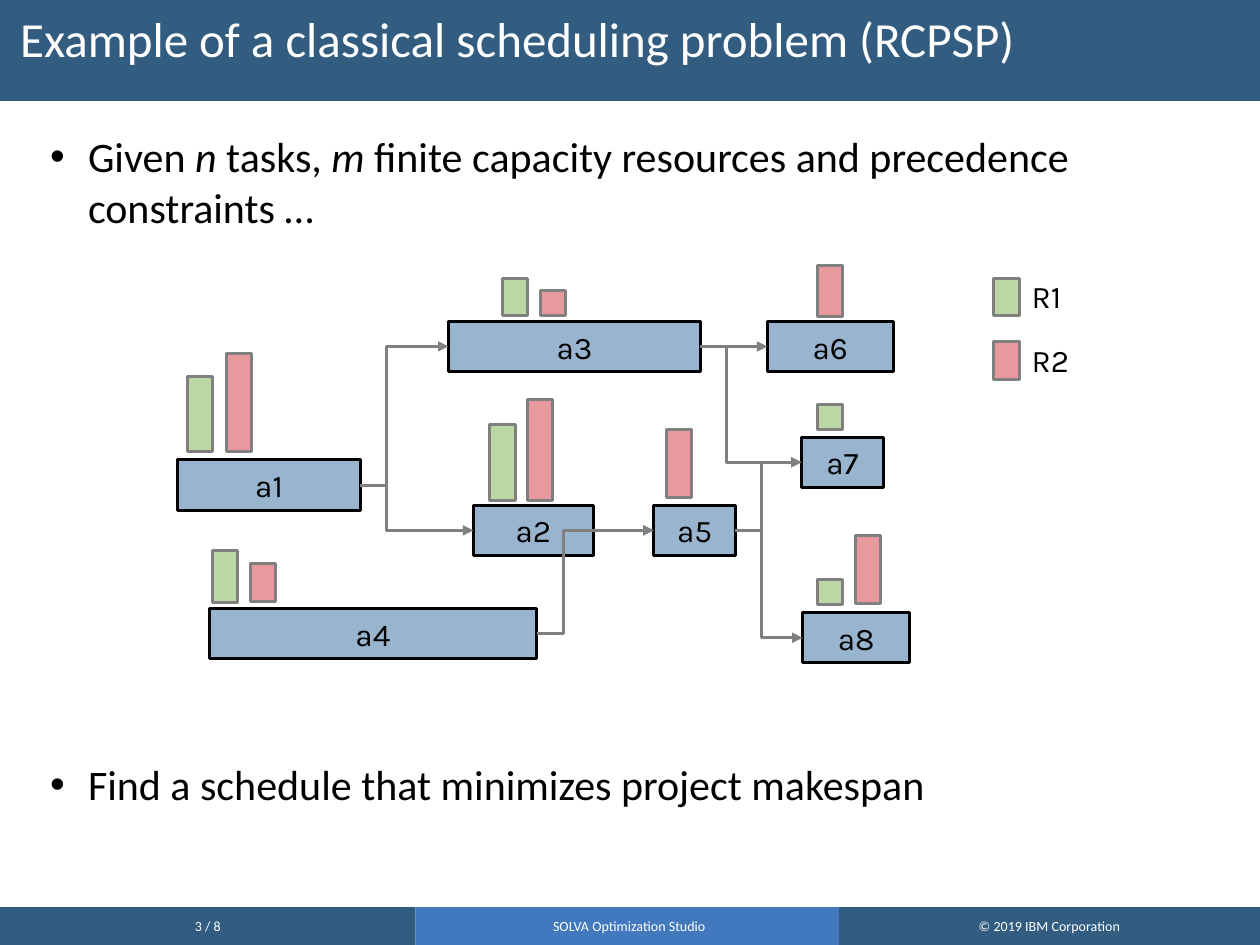
from lxml import etree
from pptx import Presentation
from pptx.dml.color import RGBColor
from pptx.enum.shapes import MSO_CONNECTOR, MSO_SHAPE
from pptx.enum.text import MSO_ANCHOR, PP_ALIGN
from pptx.oxml.ns import qn
from pptx.util import Pt

RECT = MSO_SHAPE.RECTANGLE
ELBOW, STRAIGHT = MSO_CONNECTOR.ELBOW, MSO_CONNECTOR.STRAIGHT
LEFT, CENTER = PP_ALIGN.LEFT, PP_ALIGN.CENTER
TOP, MIDDLE = MSO_ANCHOR.TOP, MSO_ANCHOR.MIDDLE
RIGHT_SIDE, LEFT_SIDE = 3, 1

COLORS = {
    "navy": "325C80", "blue": "4178BE", "white": "FFFFFF", "black": "000000",
    "gray": "808080", "task": "004586", "R1": "579D1C", "R2": "C5000B",
}

TITLE = "Example of a classical scheduling problem (RCPSP)"
# Each bullet: space before, then runs of (text, italic)
BULLETS = [
    (0, [("Given ", False), ("n", True), (" tasks, ", False), ("m", True),
         (" finite capacity resources and precedence constraints …", False)]),
    (301, [("Find a schedule that minimizes project makespan", False)]),
]
# Footer cells: text, left, right, colour
FOOTER = [
    ("3 / 8", 0, 237.6, "navy"),
    ("SOLVA Optimization Studio", 237.6, 481.7, "blue"),
    ("© 2019 IBM Corporation", 479.5, 720, "navy"),
]
# Tasks: left, top, width, resource bars as (resource, left, top, height)
TASKS = {
    "a1": (101.5, 262.8, 104.5, [("R1", 107, 215, 43.2), ("R2", 129.6, 202, 56.2)]),
    "a3": (256.3, 183.6, 144, [("R1", 287, 159, 21.6), ("R2", 308.9, 166, 14.4)]),
    "a2": (270.5, 288.7, 68.6, [("R1", 280, 242.6, 43.2), ("R2", 301.5, 228.3, 57.6)]),
    "a6": (438.5, 183.6, 72, [("R2", 467, 152, 28.8)]),
    "a5": (373.5, 288.7, 46.8, [("R2", 380.9, 245.5, 38.9)]),
    "a4": (119.5, 347.8, 187.2, [("R1", 121.4, 314.6, 29.8), ("R2", 143.2, 321.9, 21.6)]),
    "a7": (458, 249.8, 46.8, [("R1", 467, 231, 14.4)]),
    "a8": (458.6, 350, 61.2, [("R1", 467, 331.2, 14.4), ("R2", 488.9, 306, 38.9)]),
}
PRECEDENCES = [("a1", "a3"), ("a1", "a2"), ("a3", "a6"), ("a4", "a5"), ("a2", "a5"),
               ("a5", "a8"), ("a5", "a7"), ("a3", "a7")]
LEGEND = ["R1", "R2"]

TASK_HEIGHT, BAR_WIDTH, LINE_WIDTH = 28.8, 14.4, 1.7
ELBOW_STUB = 15.1
LEGEND_LEFT, LEGEND_TOP, LEGEND_STEP = 568, 159, 36.2
BULLET_INDENT = 21.6


def rgb(name):
    return RGBColor.from_string(COLORS[name])


def write(shape, runs, size, font="Calibri", color="black", align=LEFT,
          anchor=TOP, wrap=True, new=False, before=0):
    """Add one paragraph of (text, italic) runs; new=True appends it."""
    frame = shape.text_frame
    frame.word_wrap = wrap
    frame.vertical_anchor = anchor
    paragraph = frame.add_paragraph() if new else frame.paragraphs[0]
    paragraph.alignment = align
    paragraph.space_before = Pt(before)
    for text, italic in runs:
        run = paragraph.add_run()
        run.text = text
        run.font.size = Pt(size)
        run.font.name = font
        run.font.italic = italic
        run.font.color.rgb = rgb(color)
    return paragraph


def add_rect(slide, left, top, width, height, fill, line=None, alpha=None):
    rect = slide.shapes.add_shape(RECT, Pt(left), Pt(top), Pt(width), Pt(height))
    rect.shadow.inherit = False
    rect.fill.solid()
    rect.fill.fore_color.rgb = rgb(fill)
    if alpha:
        color = rect.fill._xPr.find(qn("a:solidFill"))[0]
        etree.SubElement(color, qn("a:alpha")).set("val", str(alpha * 1000))
    if line:
        rect.line.color.rgb = rgb(line)
        rect.line.width = Pt(LINE_WIDTH)
    else:
        rect.line.fill.background()
    return rect


def add_bar(slide, resource, left, top, height):
    add_rect(slide, left, top, BAR_WIDTH, height, resource, "gray", 40)


def add_precedence(slide, before, after):
    start_x, start_y = before.left + before.width, before.top + before.height // 2
    end_x, end_y = after.left, after.top + after.height // 2
    kind = STRAIGHT if start_y == end_y else ELBOW
    arrow = slide.shapes.add_connector(kind, start_x, start_y, end_x, end_y)
    arrow.begin_connect(before, RIGHT_SIDE)
    arrow.end_connect(after, LEFT_SIDE)
    arrow.line.color.rgb = rgb("gray")
    arrow.line.width = Pt(LINE_WIDTH)
    properties = arrow.element.spPr
    if kind == ELBOW:
        bend = round(100000 * Pt(ELBOW_STUB) / (end_x - start_x))
        adjustments = properties.find(qn("a:prstGeom")).find(qn("a:avLst"))
        guide = etree.SubElement(adjustments, qn("a:gd"))
        guide.set("name", "adj1")
        guide.set("fmla", f"val {bend}")
    etree.SubElement(properties.find(qn("a:ln")), qn("a:tailEnd")).set("type", "triangle")
    etree.SubElement(properties, qn("a:effectLst"))


def add_title(slide):
    title = slide.shapes.title
    title.left, title.top, title.width, title.height = Pt(0), Pt(0), Pt(720), Pt(57.6)
    title.fill.solid()
    title.fill.fore_color.rgb = rgb("navy")
    paragraph = write(title, [(TITLE, False)], 28, color="white")
    paragraph.line_spacing = 0.9
    title.text_frame.margin_left = Pt(11.5)
    title.text_frame.margin_top = Pt(8.6)


def add_bullets(slide):
    body = slide.shapes.add_textbox(Pt(21.6), Pt(71.3), Pt(680.4), Pt(434.2))
    for index, (before, runs) in enumerate(BULLETS):
        paragraph = write(body, runs, 24, new=index > 0, before=before)
        properties = paragraph._p.get_or_add_pPr()
        properties.set("marL", str(Pt(BULLET_INDENT)))
        properties.set("indent", str(-Pt(BULLET_INDENT)))
        etree.SubElement(properties, qn("a:buFont")).set("typeface", "Arial")
        etree.SubElement(properties, qn("a:buChar")).set("char", "•")


def add_network(slide):
    boxes = {}
    for name, (left, top, width, _) in TASKS.items():
        boxes[name] = add_rect(slide, left, top, width, TASK_HEIGHT, "task", "black", 40)
        write(boxes[name], [(name, False)], 18, "Karla", align=CENTER, anchor=MIDDLE)
    for before, after in PRECEDENCES:
        add_precedence(slide, boxes[before], boxes[after])
    for *_, bars in TASKS.values():
        for bar in bars:
            add_bar(slide, *bar)


def add_legend(slide):
    for index, resource in enumerate(LEGEND):
        top = LEGEND_TOP + index * LEGEND_STEP
        add_bar(slide, resource, LEGEND_LEFT, top, 21.6)
        label = slide.shapes.add_textbox(
            Pt(LEGEND_LEFT + BAR_WIDTH), Pt(top - 4), Pt(37.4), Pt(28.8))
        write(label, [(resource, False)], 18, "Karla", wrap=False)


def main():
    deck = Presentation()
    deck.slide_width, deck.slide_height = Pt(720), Pt(540)
    slide = deck.slides.add_slide(deck.slide_layouts[5])
    add_title(slide)
    for text, left, right, color in FOOTER:
        cell = add_rect(slide, left, 518.4, right - left, 21.6, color)
        write(cell, [(text, False)], 8, color="white", align=CENTER, anchor=MIDDLE, wrap=False)
    add_bullets(slide)
    add_network(slide)
    add_legend(slide)
    deck.save("out.pptx")


if __name__ == "__main__":
    main()
